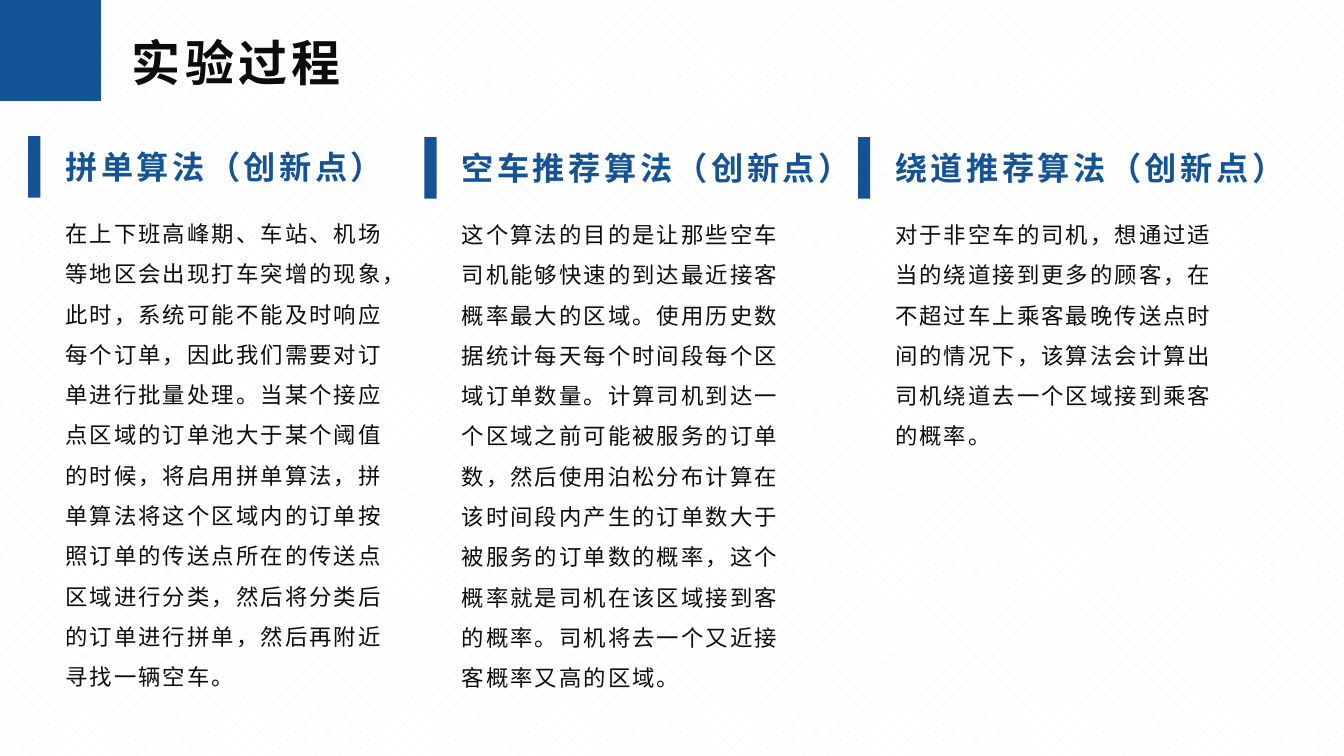
import pptx
import pptx.dml.color
import pptx.enum.dml
import pptx.enum.shapes
import pptx.enum.text
import pptx.oxml
import pptx.oxml.ns
import pptx.util

Inches = pptx.util.Inches
Pt = pptx.util.Pt
RGBColor = pptx.dml.color.RGBColor
ANCHOR = pptx.enum.text.MSO_ANCHOR

BLUE = RGBColor(0x15, 0x53, 0x97)
BLACK = RGBColor(0x0C, 0x0C, 0x0C)
WHITE = RGBColor(0xFF, 0xFF, 0xFF)
PALE = RGBColor(0xF2, 0xF2, 0xF2)
FONT = "Noto Sans CJK SC"

TITLE = {"size": Pt(35), "bold": True, "color": BLACK, "spacing": 3}
HEADING = {"size": Pt(23), "bold": True, "color": BLUE, "spacing": 2.5}
BODY = {"size": Pt(16), "bold": False, "color": BLACK, "spacing": 1.5}

# Cap outlines, in inches: band left, board with tassel, band right
CAP = [
    [(0.5, 0.83), (0.5, 0.73), (0.49, 0.72), (0.47, 0.73), (0.46, 0.72),
     (0.37, 0.68), (0.35, 0.69), (0.36, 0.74), (0.36, 0.75), (0.43, 0.81),
     (0.49, 0.84)],
    [(0.93, 0.69), (0.93, 0.7), (0.95, 0.72), (0.97, 0.76), (0.97, 0.8),
     (0.94, 0.85), (0.92, 0.86), (0.93, 0.84), (0.92, 0.81), (0.9, 0.77),
     (0.9, 0.73), (0.9, 0.72), (0.91, 0.7), (0.89, 0.62), (0.88, 0.62),
     (0.68, 0.67), (0.47, 0.71), (0.36, 0.66), (0.27, 0.61), (0.2, 0.55),
     (0.13, 0.48), (0.14, 0.47), (0.29, 0.45), (0.42, 0.43), (0.55, 0.4),
     (0.7, 0.36), (0.71, 0.36), (0.79, 0.43), (0.87, 0.48), (0.94, 0.53),
     (1.02, 0.56), (1.02, 0.58), (0.91, 0.61), (0.9, 0.62)],
    [(0.82, 0.66), (0.83, 0.68), (0.83, 0.72), (0.82, 0.75), (0.81, 0.76),
     (0.67, 0.81), (0.53, 0.85), (0.52, 0.84), (0.52, 0.73), (0.53, 0.72),
     (0.68, 0.7)],
]

# Bar left, bar top, heading width, body height, heading, body
COLUMNS = [
    (0.28, 1.35, 3.39, 4.95, "拼单算法（创新点）",
     "在上下班高峰期、车站、机场等地区会出现打车突增的现象，此时，系统可能不能及时响应"
     "每个订单，因此我们需要对订单进行批量处理。当某个接应点区域的订单池大于某个阈值的时候，"
     "将启用拼单算法，拼单算法将这个区域内的订单按照订单的传送点所在的传送点区域进行分类，"
     "然后将分类后的订单进行拼单，然后再附近寻找一辆空车。"),
    (4.21, 1.36, 4.1, 4.95, "空车推荐算法（创新点）",
     "这个算法的目的是让那些空车司机能够快速的到达最近接客概率最大的区域。"
     "使用历史数据统计每天每个时间段每个区域订单数量。计算司机到达一个区域之前可能被服务的订单数，"
     "然后使用泊松分布计算在该时间段内产生的订单数大于被服务的订单数的概率，"
     "这个概率就是司机在该区域接到客的概率。司机将去一个又近接客概率又高的区域。"),
    (8.51, 1.36, 4.1, 2.52, "绕道推荐算法（创新点）",
     "对于非空车的司机，想通过适当的绕道接到更多的顾客，在不超过车上乘客最晚传送点时间的情况下，"
     "该算法会计算出司机绕道去一个区域接到乘客的概率。"),
]


def paint(sp):
    sp.shadow.inherit = False
    sp.fill.solid()
    sp.fill.fore_color.rgb = BLUE
    sp.line.fill.background()


def add_text(s, box, text, style, wrap=True, anchor=ANCHOR.MIDDLE, leading=None):
    tf = s.shapes.add_textbox(*map(Inches, box)).text_frame
    tf.word_wrap = wrap
    tf.vertical_anchor = anchor
    p = tf.paragraphs[0]
    p.line_spacing = leading
    r = p.add_run()
    r.text = text
    for name in ("size", "bold"):
        setattr(r.font, name, style[name])
    r.font.color.rgb = style["color"]
    r.font.name = FONT
    # East Asian typeface and letter spacing
    rPr = r.font._element
    rPr.set("spc", str(int(style["spacing"] * 100)))
    ea = pptx.oxml.parse_xml(
        f'<a:ea {pptx.oxml.ns.nsdecls("a")} typeface="{FONT}"/>')
    rPr.find(pptx.oxml.ns.qn("a:latin")).addnext(ea)


def add_cap(s):
    fb = None
    for outline in CAP:
        if fb is None:
            fb = s.shapes.build_freeform(*outline[0], scale=Inches(1))
        else:
            fb.move_to(*outline[0])
        fb.add_line_segments(outline[1:], close=True)
    paint(fb.convert_to_shape())


def add_column(s, left, top, heading_w, body_h, heading, body):
    text_left = left + 0.27
    add_text(s, (text_left, top + 0.65, 3.58, body_h), body, BODY,
             anchor=ANCHOR.TOP, leading=Pt(28.8))
    add_text(s, (text_left, top + 0.06, heading_w, 0.49), heading, HEADING,
             wrap=False)
    paint(s.shapes.add_shape(
        pptx.enum.shapes.MSO_SHAPE.RECTANGLE,
        *map(Inches, (left, top, 0.12, 0.61))))


def main():
    prs = pptx.Presentation()
    prs.slide_width, prs.slide_height = Inches(13.33), Inches(7.5)
    s = prs.slides.add_slide(prs.slide_layouts[6])

    # Background pattern
    fill = s.background.fill
    fill.patterned()
    fill.pattern = pptx.enum.dml.MSO_PATTERN.DIAGONAL_BRICK
    fill.fore_color.rgb = PALE
    fill.back_color.rgb = WHITE

    # Title row
    add_cap(s)
    add_text(s, (1.21, 0.27, 9.55, 0.69), "实验过程", TITLE)

    # Algorithm columns
    for column in COLUMNS:
        add_column(s, *column)

    prs.save("out.pptx")


if __name__ == "__main__":
    main()
